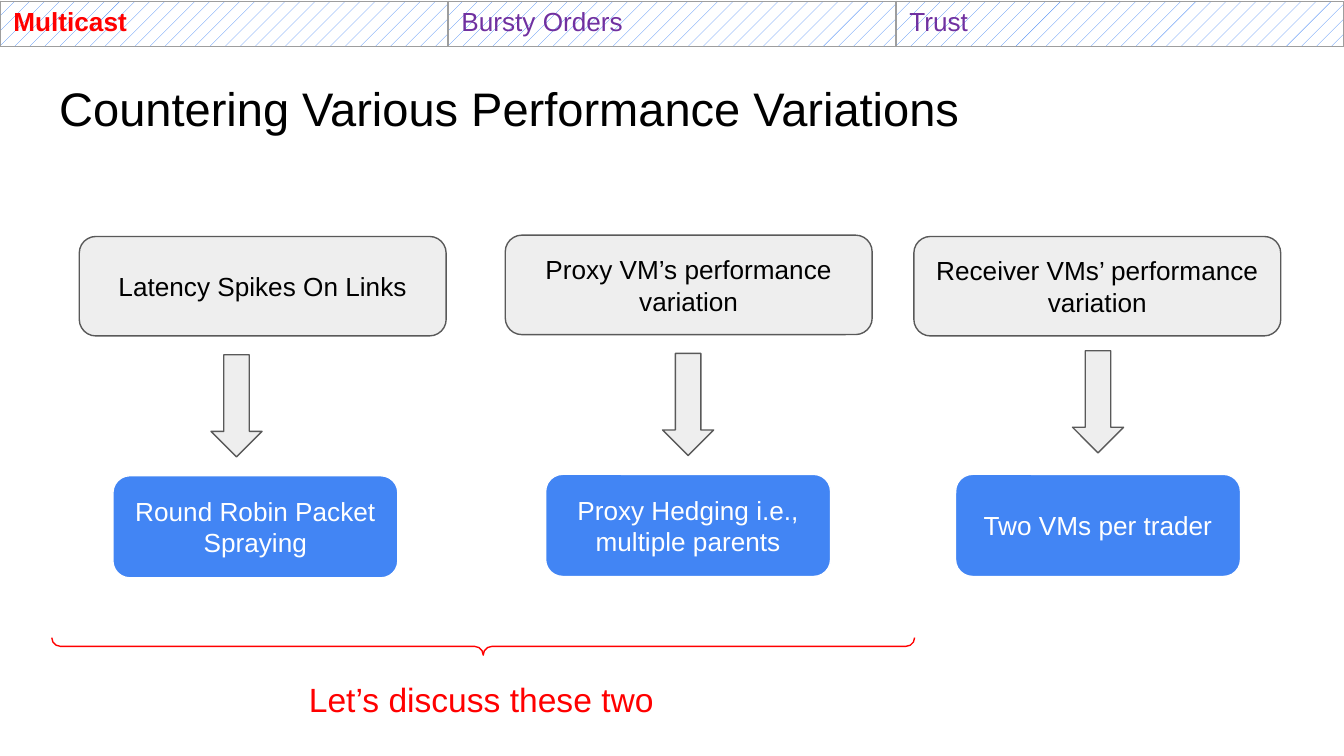
"""Build the slide on countering performance variations."""
import lxml.etree
import pptx
import pptx.dml.color
import pptx.enum.dml
import pptx.enum.shapes
import pptx.enum.text
import pptx.oxml
import pptx.oxml.ns
import pptx.util

Inches = pptx.util.Inches
Pt = pptx.util.Pt
MSO_SHAPE = pptx.enum.shapes.MSO_SHAPE
PP_ALIGN = pptx.enum.text.PP_ALIGN
MSO_ANCHOR = pptx.enum.text.MSO_ANCHOR
rgb = pptx.dml.color.RGBColor.from_string


def write(frame, text, size, color, align=PP_ALIGN.LEFT, bold=False):
    paragraph = frame.paragraphs[0]
    paragraph.alignment = align
    run = paragraph.add_run()
    run.text = text
    run.font.name = "Arial"
    run.font.size = Pt(size)
    run.font.bold = bold
    run.font.color.rgb = rgb(color)


def draw(kind, left, top, width, height, fill, line, label="", color="000000"):
    shape = slide.shapes.add_shape(
        kind, Inches(left), Inches(top), Inches(width), Inches(height))
    shape.shadow.inherit = False
    if fill:
        shape.fill.solid()
        shape.fill.fore_color.rgb = rgb(fill)
    else:
        shape.fill.background()
    shape.line.color.rgb = rgb(line)
    shape.line.width = Pt(0.75)
    if label:
        frame = shape.text_frame
        frame.word_wrap = True
        frame.vertical_anchor = MSO_ANCHOR.MIDDLE
        frame.margin_left = frame.margin_right = Inches(0.1)
        frame.margin_top = frame.margin_bottom = Inches(0.1)
        write(frame, label, 14, color, PP_ALIGN.CENTER)
    return shape


presentation = pptx.Presentation()
presentation.slide_width = Inches(10)
presentation.slide_height = Inches(10 * 9 / 16)
slide = presentation.slides.add_slide(presentation.slide_layouts[5])

title = slide.shapes.title
title.left, title.top = Inches(0.34), Inches(0.49)
title.width, title.height = Inches(9.32), Inches(0.63)
heading = title.text_frame
heading.auto_size = pptx.enum.text.MSO_AUTO_SIZE.NONE
heading.vertical_anchor = MSO_ANCHOR.TOP
heading.margin_left = heading.margin_right = Inches(0.1)
heading.margin_top = heading.margin_bottom = Inches(0.1)
write(heading, "Countering Various Performance Variations", 25.2, "000000")

remedies = [
    ("Latency Spikes On Links", 0.59, 1.76, 1.57, 2.64,
     "Round Robin Packet Spraying", 0.84, 3.54),
    ("Proxy VM’s performance variation", 3.76, 1.75, 4.93, 2.63,
     "Proxy Hedging i.e., multiple parents", 4.06, 3.53),
    ("Receiver VMs’ performance variation", 6.8, 1.76, 7.98, 2.61,
     "Two VMs per trader", 7.11, 3.53),
]
for (problem, problem_left, problem_top, arrow_left, arrow_top,
     solution, solution_left, solution_top) in remedies:
    draw(MSO_SHAPE.ROUNDED_RECTANGLE, problem_left, problem_top, 2.73, 0.74,
         "EEEEEE", "595959", problem)
    draw(MSO_SHAPE.DOWN_ARROW, arrow_left, arrow_top, 0.38, 0.76, "EEEEEE", "595959")
    draw(MSO_SHAPE.ROUNDED_RECTANGLE, solution_left, solution_top, 2.12, 0.76,
         "4285F4", "FFFFFF", solution, "FFFFFF")

brace = draw(MSO_SHAPE.RIGHT_BRACE, 3.53, 1.6, 0.13, 6.42, None, "FF0000")
brace.rotation = 90
brace.adjustments[0] = 0.5
brace.adjustments[1] = 0.5

remark = slide.shapes.add_textbox(
    Inches(2.2), Inches(4.95), Inches(2.86), Inches(0.5)).text_frame
remark.word_wrap = True
remark.auto_size = pptx.enum.text.MSO_AUTO_SIZE.SHAPE_TO_FIT_TEXT
remark.margin_left = remark.margin_right = Inches(0.1)
remark.margin_top = remark.margin_bottom = Inches(0.1)
write(remark, "Let’s discuss these two", 18, "FF0000")

topics = [("Multicast", "FF0000", True), ("Bursty Orders", "7030A0", False),
          ("Trust", "7030A0", False)]
agenda = slide.shapes.add_table(
    1, len(topics), Inches(0), Inches(0.01), Inches(10), Inches(0.27)).table
agenda.first_row = False
agenda.horz_banding = False
for cell, (topic, color, bold) in zip(agenda.rows[0].cells, topics):
    write(cell.text_frame, topic, 14, color, bold=bold)
    cell.fill.patterned()
    cell.fill.pattern = pptx.enum.dml.MSO_PATTERN.PERCENT_10
    cell.fill.fore_color.rgb = rgb("4285F4")
    cell.fill.back_color.rgb = rgb("FFFFFF")
    properties = cell._tc.get_or_add_tcPr()
    for position, side in enumerate(("lnL", "lnR", "lnT", "lnB")):
        border = lxml.etree.Element(pptx.oxml.ns.qn(f"a:{side}"), w=str(Pt(0.75)))
        solid = lxml.etree.SubElement(border, pptx.oxml.ns.qn("a:solidFill"))
        lxml.etree.SubElement(solid, pptx.oxml.ns.qn("a:srgbClr"), val="9E9E9E")
        properties.insert(position, border)

presentation.save("out.pptx")
